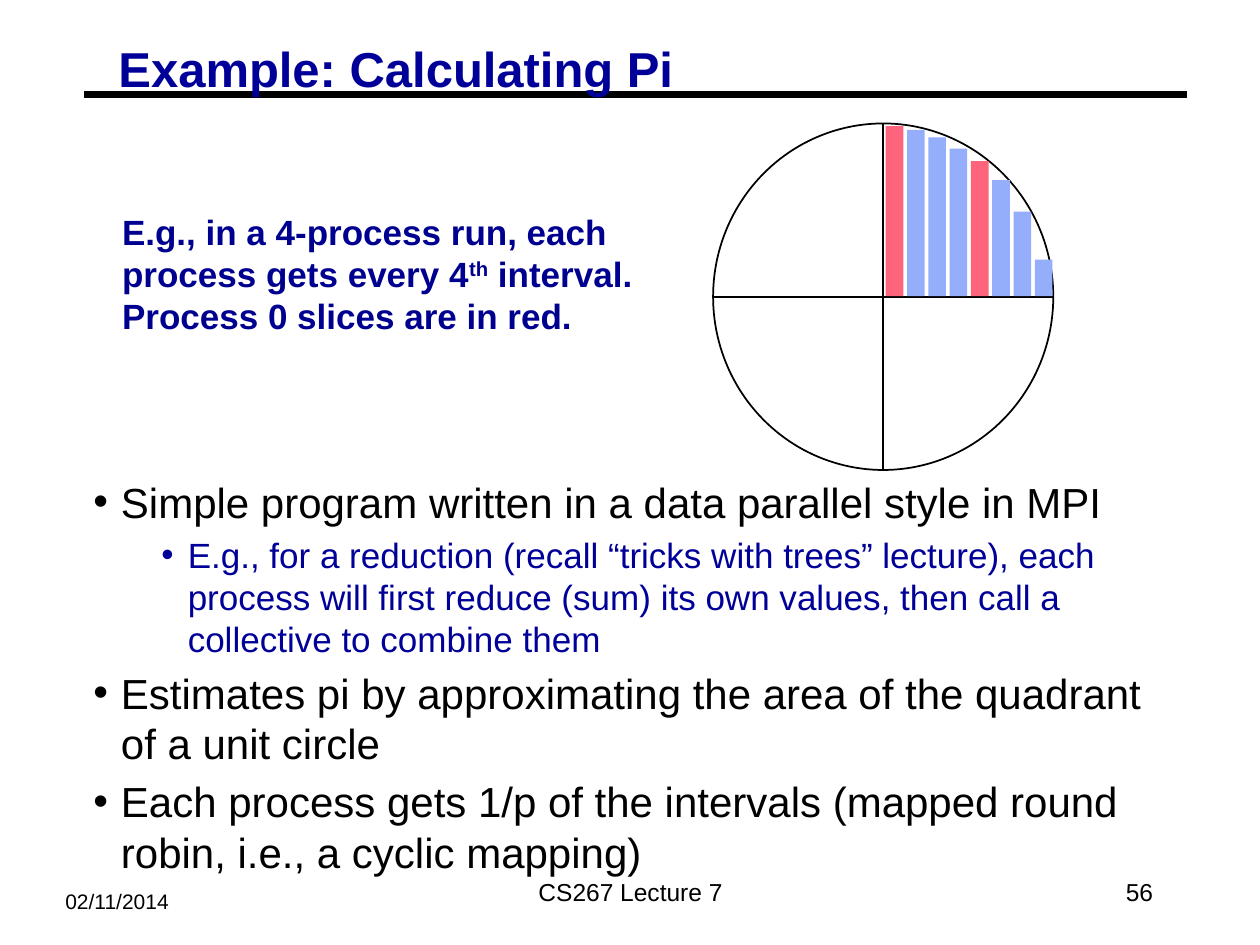
from pptx import Presentation
from pptx.dml.color import RGBColor
from pptx.enum.shapes import MSO_CONNECTOR, MSO_SHAPE
from pptx.enum.text import MSO_ANCHOR, PP_ALIGN
from pptx.oxml.ns import qn
from pptx.util import Inches, Pt
from lxml.etree import SubElement

BLACK = RGBColor(0x00, 0x00, 0x00)
TITLE_BLUE = RGBColor(0x00, 0x00, 0x99)
NOTE_BLUE = RGBColor(0x00, 0x00, 0x90)
SLICE_RED = RGBColor(0xFE, 0x65, 0x7D)
SLICE_BLUE = RGBColor(0x95, 0xAE, 0xFC)


class LectureSlide:
    """Draws styled elements on one slide."""

    font_name = "Arial"

    def __init__(self, slide):
        self.slide = slide

    def frame(self, left, top, width, height, margins=(0.1, 0.05), anchor=MSO_ANCHOR.TOP):
        box = self.slide.shapes.add_textbox(
            Inches(left), Inches(top), Inches(width), Inches(height))
        text = box.text_frame
        text.word_wrap = True
        text.vertical_anchor = anchor
        text.margin_left = text.margin_right = Inches(margins[0])
        text.margin_top = text.margin_bottom = Inches(margins[1])
        return text

    def run(self, paragraph, words, size, color, bold=False, baseline=0):
        run = paragraph.add_run()
        run.text = words
        run.font.name = self.font_name
        run.font.size = Pt(size)
        run.font.bold = bold
        run.font.color.rgb = color
        if baseline:
            run.font._element.set("baseline", str(baseline))

    def label(self, bounds, words, size, color=BLACK, bold=False,
              align=PP_ALIGN.LEFT, line_spacing=None, **frame_style):
        paragraph = self.frame(*bounds, **frame_style).paragraphs[0]
        paragraph.alignment = align
        paragraph.line_spacing = line_spacing
        self.run(paragraph, words, size, color, bold)

    def bullets(self, bounds, items):
        text = self.frame(*bounds, margins=(0.07, 0.03))
        styles = [(24, BLACK, 0.22, 0.22, 4.5), (20, TITLE_BLUE, 0.75, 0.21, 3.7)]
        for index, (level, words) in enumerate(items):
            size, color, margin, hanging, before = styles[level]
            paragraph = text.add_paragraph() if index else text.paragraphs[0]
            paragraph.level = level
            paragraph.space_before = Pt(before if index else 0)
            properties = paragraph._p.get_or_add_pPr()
            properties.set("marL", str(Inches(margin)))
            properties.set("indent", str(-Inches(hanging)))
            bullet_color = SubElement(properties, qn("a:buClr"))
            SubElement(bullet_color, qn("a:srgbClr"), val=str(color))
            SubElement(properties, qn("a:buFont"), typeface=self.font_name)
            SubElement(properties, qn("a:buChar"), char="•")
            self.run(paragraph, words, size, color)

    def shape(self, kind, left, top, width, height, fill=None):
        shape = self.slide.shapes.add_shape(
            kind, Inches(left), Inches(top), Inches(width), Inches(height))
        shape.shadow.inherit = False
        if fill is None:
            shape.fill.background()
            shape.line.color.rgb = BLACK
            shape.line.width = Pt(1)
        else:
            shape.fill.solid()
            shape.fill.fore_color.rgb = fill
            shape.line.fill.background()

    def rule(self, left, right, y, weight):
        line = self.slide.shapes.add_connector(
            MSO_CONNECTOR.STRAIGHT, Inches(left), Inches(y), Inches(right), Inches(y))
        line.line.color.rgb = BLACK
        line.line.width = Pt(weight)
        SubElement(line._element.spPr, qn("a:effectLst"))


def main():
    deck = Presentation()
    deck.slide_width, deck.slide_height = Inches(10), Inches(7.5)
    lecture = LectureSlide(deck.slides.add_slide(deck.slide_layouts[6]))

    lecture.rule(0.67, 9.42, 0.75, 3.75)
    lecture.label((0.42, 7, 1.92, 0.3), "02/11/2014", 12)
    lecture.label((0.87, 0.34, 4.59, 0.48), "Example: Calculating Pi", 28, TITLE_BLUE,
                  bold=True, line_spacing=0.87, margins=(0.07, 0.03))
    lecture.bullets((0.67, 3.75, 8.75, 3.26), [
        (0, "Simple program written in a data parallel style in MPI"),
        (1, "E.g., for a reduction (recall “tricks with trees” lecture), each process "
            "will first reduce (sum) its own values, then call a collective to combine them"),
        (0, "Estimates pi by approximating the area of the quadrant of a unit circle"),
        (0, "Each process gets 1/p of the intervals (mapped round robin, "
            "i.e., a cyclic mapping)"),
    ])
    lecture.label((7.17, 6.83, 2.08, 0.5), "56", 14,
                  align=PP_ALIGN.RIGHT, anchor=MSO_ANCHOR.MIDDLE)
    lecture.label((3.42, 6.83, 3.17, 0.5), "CS267 Lecture 7", 14,
                  align=PP_ALIGN.CENTER, anchor=MSO_ANCHOR.MIDDLE)

    lecture.shape(MSO_SHAPE.FLOWCHART_OR, 5.66, 0.98, 2.7, 2.75)
    processes, axis_y, first_slice, pitch = 4, 2.35, 7.03, 0.169
    slice_heights = [1.35, 1.32, 1.26, 1.17, 1.07, 0.92, 0.67, 0.29]
    for interval, height in enumerate(slice_heights):
        color = SLICE_BLUE if interval % processes else SLICE_RED
        lecture.shape(MSO_SHAPE.RECTANGLE, first_slice + interval * pitch,
                      axis_y - height, 0.14, height, color)

    note = lecture.frame(0.87, 1.62, 4.59, 1.1).paragraphs[0]
    for words, baseline in [
        ("E.g., in a 4-process run, each process gets every 4", 0),
        ("th", 30000),
        (" interval. Process 0 slices are in red.", 0),
    ]:
        lecture.run(note, words, 20, NOTE_BLUE, bold=True, baseline=baseline)

    deck.save("out.pptx")


if __name__ == "__main__":
    main()
